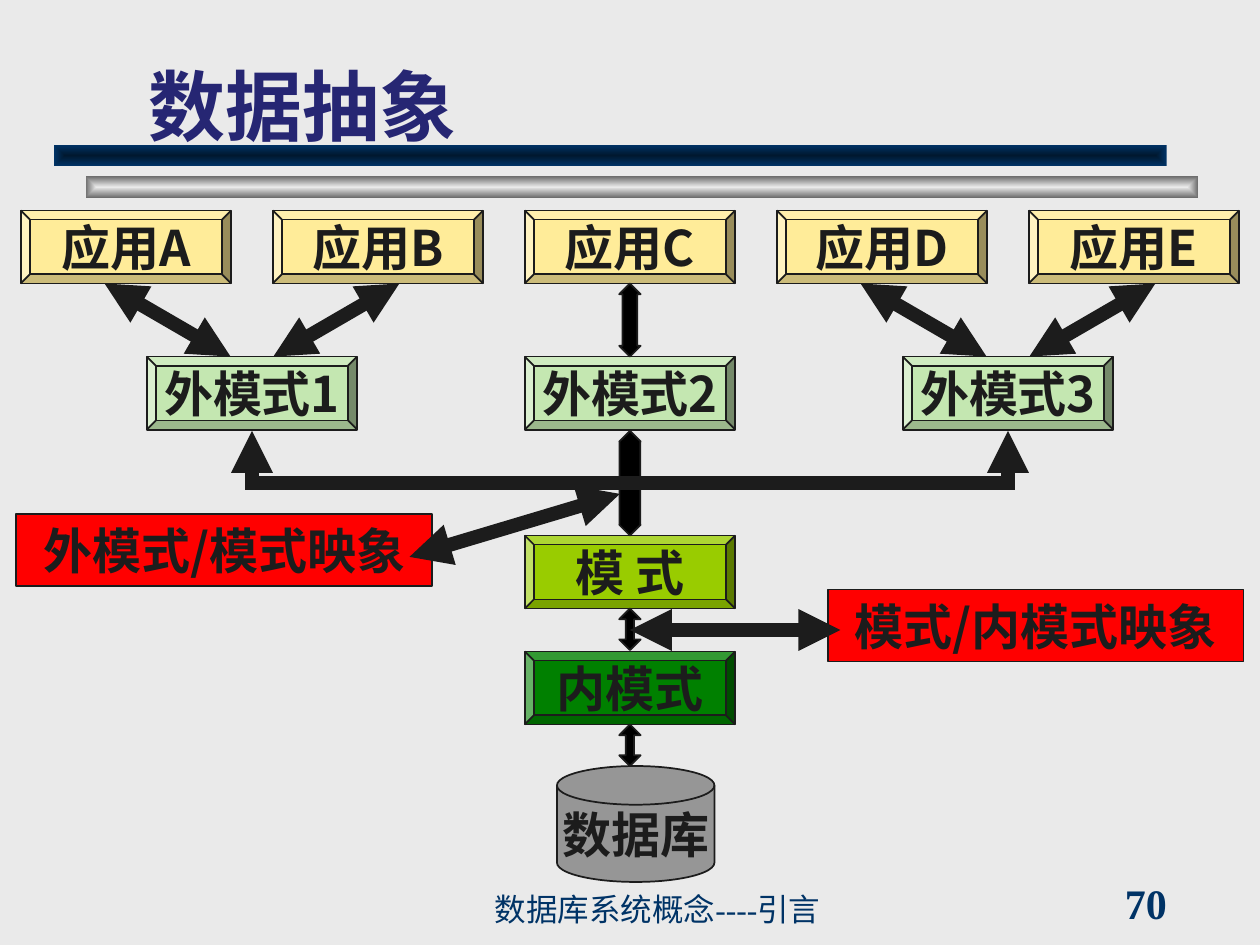
import pptx
import pptx.util
import pptx.dml.color
import pptx.enum.shapes
import pptx.enum.text
import pptx.oxml
import pptx.oxml.ns
from lxml import etree

Inches, Pt = pptx.util.Inches, pptx.util.Pt
KIND = pptx.enum.shapes.MSO_SHAPE
ALIGN = pptx.enum.text.PP_ALIGN
ANCHOR = pptx.enum.text.MSO_ANCHOR
qn = pptx.oxml.ns.qn

INK, NAVY = "1C1C1C", "003366"
SANS, SERIF = "Noto Sans CJK SC", "Times New Roman"
BOX_W, BOX_H = 1.67, 0.58
MID = 5

# left, top, centre colour, edge colour
BARS = [(0.68, 1.4, "EAEAEA", "6C6C6C"), (0.43, 1.15, "00182F", NAVY)]

# top, fill, [(label, centre x)]
ROWS = [
    (1.67, "FFEC99", [("应用" + c, 1 + 2 * i) for i, c in enumerate("ABCDE")]),
    (2.83, "C4E7B1", [("外模式1", 2), ("外模式2", MID), ("外模式3", 8)]),
    (4.25, "99CC00", [("模 式", MID)]),
    (5.17, "008000", [("内模式", MID)]),
]
MAPS = [("外模式/模式映象", 0.13, 4.08), ("模式/内模式映象", 6.57, 4.68)]

# top, height of the arrows on the centre line
STEMS = [(2.25, 0.58), (3.42, 0.83), (4.83, 0.33), (5.75, 0.33)]

# x1, y1, x2, y2, arrowheads
BUS = [
    (5.08, 3.83, 8, 3.83, ()),
    (2.08, 3.83, 5, 3.83, ()),
    (2, 3.83, 2, 3.42, ("tailEnd",)),
    (8, 3.83, 8, 3.42, ("tailEnd",)),
]
BOTH = ("headEnd", "tailEnd")
LINKS = [(x + s * 0.17, 2.83, x + s * 1.17, 2.25, BOTH)
         for x in (2, 8) for s in (-1, 1)]
POINTERS = [(3.25, 4.42, 4.92, 3.92, BOTH), (5, 5, 6.67, 5, BOTH)]


def rgb(code):
    return pptx.dml.color.RGBColor.from_string(code)


def write(shape, text, size, face, color, bold=True, align=ALIGN.CENTER,
          anchor=ANCHOR.MIDDLE, wrap=False):
    frame = shape.text_frame
    frame.word_wrap = wrap
    frame.vertical_anchor = anchor
    para = frame.paragraphs[0]
    para.text = text
    para.alignment = align
    font = para.font
    font.size, font.bold, font.name = Pt(size), bold, face
    font.color.rgb = rgb(color)


def label(slide, spot, *args, **opts):
    box = slide.shapes.add_textbox(*map(Inches, spot))
    write(box, *args, align=ALIGN.LEFT, **opts)


def draw(slide, kind, spot, fill):
    shape = slide.shapes.add_shape(kind, *map(Inches, spot))
    shape.shadow.inherit = False
    shape.fill.solid()
    shape.fill.fore_color.rgb = rgb(fill)
    shape.line.color.rgb = rgb(INK)
    shape.line.width = Pt(1)
    return shape


def node(slide, kind, spot, fill, text):
    write(draw(slide, kind, spot, fill), text, 28, SANS, INK)


def bar(slide, left, top, core, edge):
    """Draw a bar shaded from its centre out to its edges."""
    shape = draw(slide, KIND.RECTANGLE, (left, top, 8.83, 0.17), edge)
    shape.line.fill.background()
    shape.fill.gradient()
    for stop, code in zip(shape.fill.gradient_stops, (core, edge)):
        stop.color.rgb = rgb(code)
    grad = shape.fill._xPr.find(qn("a:gradFill"))
    for old in grad.findall(qn("a:lin")):
        grad.remove(old)
    way = etree.SubElement(grad, qn("a:path"), {"path": "rect"})
    etree.SubElement(way, qn("a:fillToRect"), dict.fromkeys("ltrb", "50000"))


def link(slide, x1, y1, x2, y2, heads):
    line = slide.shapes.add_connector(
        pptx.enum.shapes.MSO_CONNECTOR.STRAIGHT,
        *map(Inches, (x1, y1, x2, y2)))
    line.line.color.rgb = rgb(INK)
    line.line.width = Pt(8)
    ln = line.line._get_or_add_ln()
    ln.set("cap", "sq")
    for head in heads:
        etree.SubElement(ln, qn("a:" + head), {"type": "triangle"})
    etree.SubElement(line._element.spPr, qn("a:effectLst"))


def main():
    deck = pptx.Presentation()
    deck.slide_width, deck.slide_height = Inches(10), Inches(7.5)
    slide = deck.slides.add_slide(deck.slide_layouts[6])
    slide.background.fill.solid()
    slide.background.fill.fore_color.rgb = rgb("EAEAEA")

    for item in BARS:
        bar(slide, *item)
    label(slide, (8.83, 7, 1.08, 0.33), "70", 24, SERIF, NAVY)
    label(slide, (3.83, 7.08, 4.08, 0.33), "数据库系统概念----引言", 18, SERIF,
          NAVY, bold=False, anchor=ANCHOR.BOTTOM, wrap=True)
    label(slide, (1.08, 0.25, 8.5, 1), "数据抽象", 44, "Lato", "262673",
          anchor=ANCHOR.BOTTOM, wrap=True)

    node(slide, KIND.FLOWCHART_MAGNETIC_DISK, (4.42, 6.08, 1.25, 0.92),
         "969696", "数据库")
    for top, fill, cells in ROWS:
        for text, mid in cells:
            spot = (mid - BOX_W / 2, top, BOX_W, BOX_H)
            node(slide, KIND.BEVEL, spot, fill, text)

    wide = 0.17
    for top, high in STEMS:
        stem = draw(slide, KIND.UP_DOWN_ARROW,
                    (MID - wide / 2, top, wide, high), "000000")
        stem.adjustments[1] = 0.2 * high / wide
    for item in BUS + LINKS:
        link(slide, *item)
    for text, left, top in MAPS:
        node(slide, KIND.RECTANGLE, (left, top, 3.3, 0.57), "FF0000", text)
    for item in POINTERS:
        link(slide, *item)

    deck.save("out.pptx")


if __name__ == "__main__":
    main()
